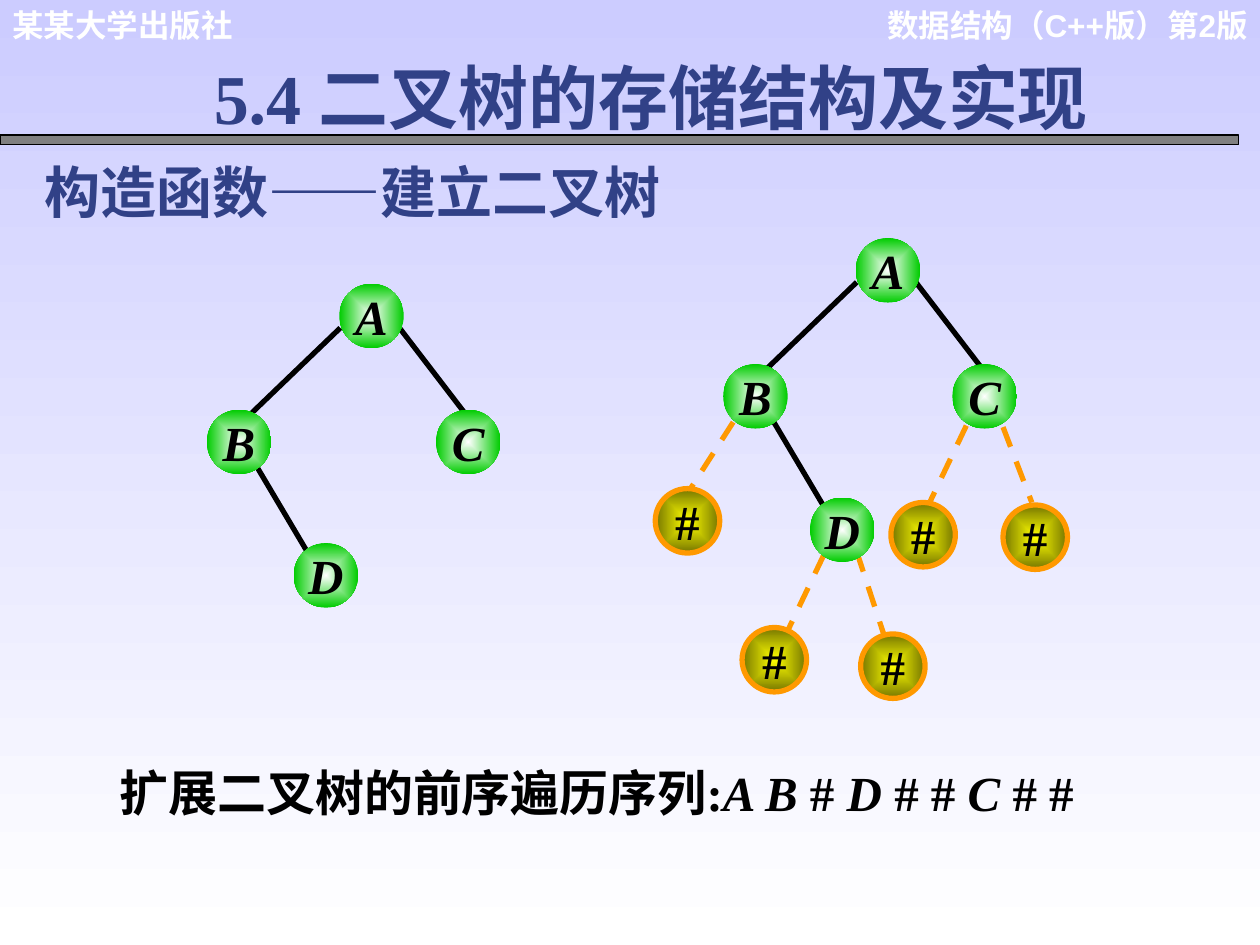
from dataclasses import dataclass

from lxml.etree import SubElement
from pptx import Presentation
from pptx.dml.color import RGBColor
from pptx.enum.dml import MSO_LINE
from pptx.enum.shapes import MSO_CONNECTOR, MSO_SHAPE
from pptx.enum.text import MSO_ANCHOR, MSO_AUTO_SIZE, PP_ALIGN
from pptx.oxml.ns import qn
from pptx.util import Cm, Pt


@dataclass(frozen=True)
class Theme:
    white: str = "FFFFFF"
    black: str = "000000"
    sky: str = "CCCCFF"
    navy: str = "314187"
    bar: str = "808080"
    green: str = "00CC00"
    yellow: str = "FFFF00"
    olive: str = "757500"
    orange: str = "FF9900"
    serif: str = "Times New Roman"
    sans: str = "Arial"
    cjk: str = "Noto Sans CJK SC"
    header: int = 18
    body: int = 28
    subtitle: int = 32
    title: int = 40
    stroke: float = 3


T = Theme()
NODE = 1.3
NODES = {"A": (2.67, 0), "B": (0, 2.54), "C": (4.62, 2.54), "D": (1.75, 5.23)}
EDGES = [
    (2.69, 0.89, 0.89, 2.62),
    (3.86, 0.86, 5.21, 2.62),
    (0.99, 3.66, 2.01, 5.38),
]
NULLS = [(-1.37, 5.05), (0.38, 7.85), (2.77, 7.98), (3.38, 5.33), (5.64, 5.38)]
NULL_EDGES = [
    (0.2, 3.71, -0.66, 5.05),
    (2.03, 6.38, 1.32, 7.87),
    (2.69, 6.32, 3.25, 8.03),
    (4.9, 3.78, 4.17, 5.31),
    (5.64, 3.81, 6.22, 5.33),
]


def rgb(value):
    return RGBColor.from_string(value)


def style(p, size, color, font, align=PP_ALIGN.LEFT):
    p.alignment = align
    p.space_before = Pt(0)
    p.font.size = Pt(size)
    p.font.bold = True
    p.font.name = font
    p.font.color.rgb = rgb(color)
    def_rpr = p._p.pPr.find(qn("a:defRPr"))
    SubElement(def_rpr, qn("a:ea")).set("typeface", T.cjk)


def frame(sp, inset_x=0.25, inset_y=0.13, anchor=MSO_ANCHOR.TOP):
    tf = sp.text_frame
    tf.word_wrap = True
    tf.auto_size = MSO_AUTO_SIZE.NONE
    tf.vertical_anchor = anchor
    tf.margin_left = tf.margin_right = Cm(inset_x)
    tf.margin_top = tf.margin_bottom = Cm(inset_y)
    return tf


def gradient(fill, start, end):
    fill.gradient()
    for stop, color, position in zip(fill.gradient_stops, (start, end), (0, 1)):
        stop.color.rgb = rgb(color)
        stop.position = position


def center_gradient(sp, start, end):
    gradient(sp.fill, start, end)
    grad = sp._element.spPr.find(qn("a:gradFill"))
    grad.remove(grad.find(qn("a:lin")))
    focus = SubElement(grad, qn("a:path"), {"path": "rect"})
    SubElement(focus, qn("a:fillToRect"), dict.fromkeys("ltrb", "50000"))


def add_label(s, box, text, size, color, font, align=PP_ALIGN.LEFT):
    sp = s.shapes.add_textbox(*map(Cm, box))
    p = frame(sp).paragraphs[0]
    p.text = text
    style(p, size, color, font, align)


def add_header(s, x, y, width):
    add_label(s, (x, y, 6.88, 1.02), "某某大学出版社", T.header, T.white, T.sans)
    add_label(s, (x + width - 7.9, y, 7.9, 1.78), "数据结构（C++版）第2版",
              T.header, T.white, T.sans, PP_ALIGN.RIGHT)
    bar = s.shapes.add_shape(MSO_SHAPE.RECTANGLE, Cm(x), Cm(y + 2.72), Cm(24.97), Cm(0.2))
    bar.shadow.inherit = False
    bar.fill.solid()
    bar.fill.fore_color.rgb = rgb(T.bar)
    bar.line.color.rgb = rgb(T.black)
    bar.line.width = Pt(0.75)


def add_title(s, x, y, width, height):
    sp = s.shapes.title
    sp.left, sp.top, sp.width, sp.height = map(Cm, (x, y, width, height))
    p = frame(sp).paragraphs[0]
    p.text = "5.4 二叉树的存储结构及实现"
    style(p, T.title, T.navy, T.serif, PP_ALIGN.JUSTIFY)


def add_edge(group, x, y, edge, color, dashed=False):
    x1, y1, x2, y2 = edge
    cxn = group.shapes.add_connector(
        MSO_CONNECTOR.STRAIGHT, Cm(x + x1), Cm(y + y1), Cm(x + x2), Cm(y + y2))
    cxn.line.color.rgb = rgb(color)
    cxn.line.width = Pt(T.stroke)
    if dashed:
        cxn.line.dash_style = MSO_LINE.DASH
    SubElement(cxn._element.spPr, qn("a:effectLst"))


def add_node(group, x, y, text, start, end, outline=None):
    sp = group.shapes.add_shape(MSO_SHAPE.OVAL, Cm(x), Cm(y), Cm(NODE), Cm(NODE))
    sp.shadow.inherit = False
    center_gradient(sp, start, end)
    if outline:
        sp.line.color.rgb = rgb(outline)
        sp.line.width = Pt(T.stroke)
    else:
        sp.line.fill.background()
    tf = frame(sp, 0, 0, MSO_ANCHOR.MIDDLE)
    tf.word_wrap = False
    p = tf.paragraphs[0]
    p.text = text
    style(p, T.body, T.black, T.serif, PP_ALIGN.CENTER)
    p.font.italic = outline is None


def add_tree(s, x, y, extended=False):
    group = s.shapes.add_group_shape()
    for edge in EDGES:
        add_edge(group, x, y, edge, T.black)
    if extended:
        for edge in NULL_EDGES:
            add_edge(group, x, y, edge, T.orange, dashed=True)
        for dx, dy in NULLS:
            add_node(group, x + dx, y + dy, "#", T.yellow, T.olive, T.orange)
    for name, (dx, dy) in NODES.items():
        add_node(group, x + dx, y + dy, name, T.white, T.green)


def add_sequence(s, x, y, width, height):
    sp = s.shapes.add_textbox(Cm(x), Cm(y), Cm(width), Cm(height))
    p = frame(sp, inset_y=0).paragraphs[0]
    style(p, T.body, T.black, T.serif, PP_ALIGN.JUSTIFY)
    parts = ["扩展二叉树的前序遍历序列:", "A B ", "# ", "D ", "# # ", "C ", "# #"]
    for i, text in enumerate(parts):
        r = p.add_run()
        r.text = text
        r.font.italic = i % 2 == 1


def main():
    prs = Presentation()
    prs.slide_width, prs.slide_height = Cm(25.4), Cm(19.05)
    s = prs.slides.add_slide(prs.slide_layouts[5])
    gradient(s.background.fill, T.sky, T.white)
    s.background.fill.gradient_angle = 270
    add_header(s, 0, 0, 25.4)
    add_title(s, 4.06, 0.97, 19.58, 1.96)
    add_label(s, (0.64, 3.05, 14.81, 1.63), "构造函数——建立二叉树",
              T.subtitle, T.navy, T.cjk)
    add_tree(s, 4.17, 5.72)
    add_tree(s, 14.58, 4.8, extended=True)
    add_sequence(s, 2.16, 15.37, 21.74, 1.9)
    prs.save("out.pptx")


if __name__ == "__main__":
    main()
